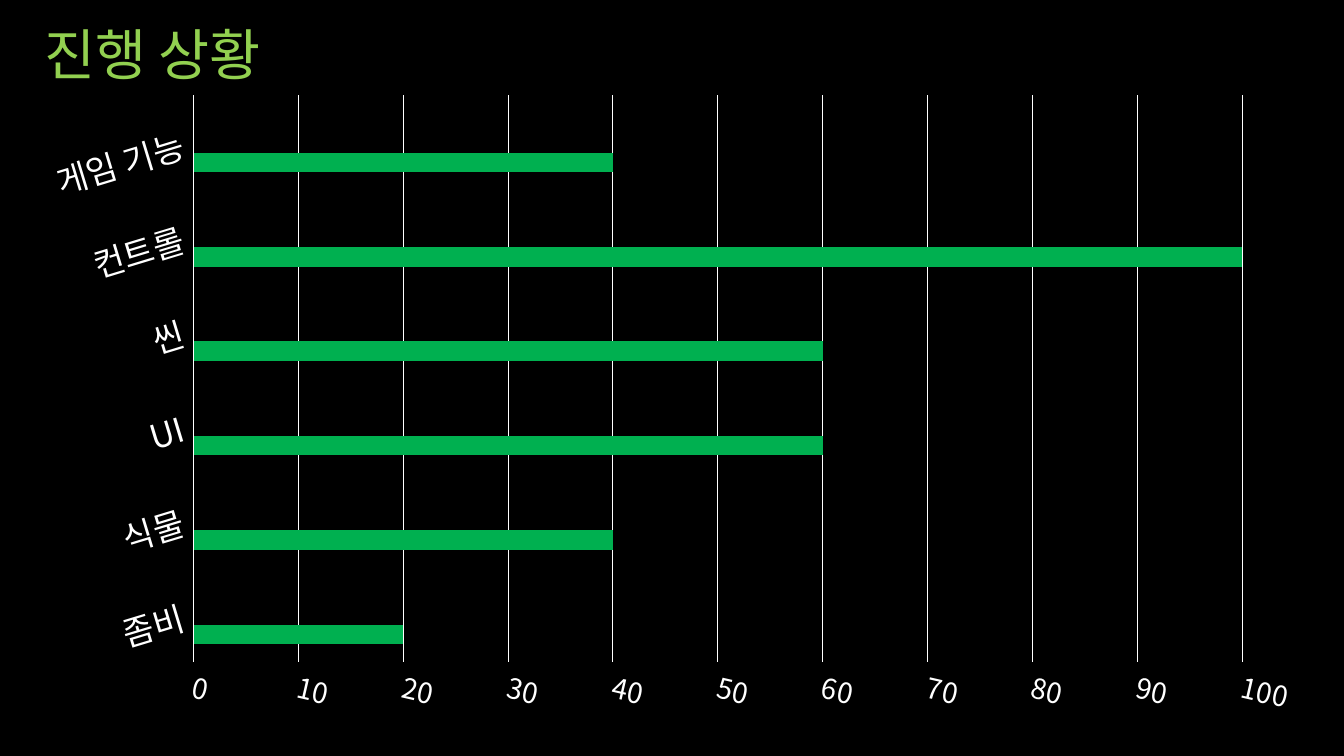
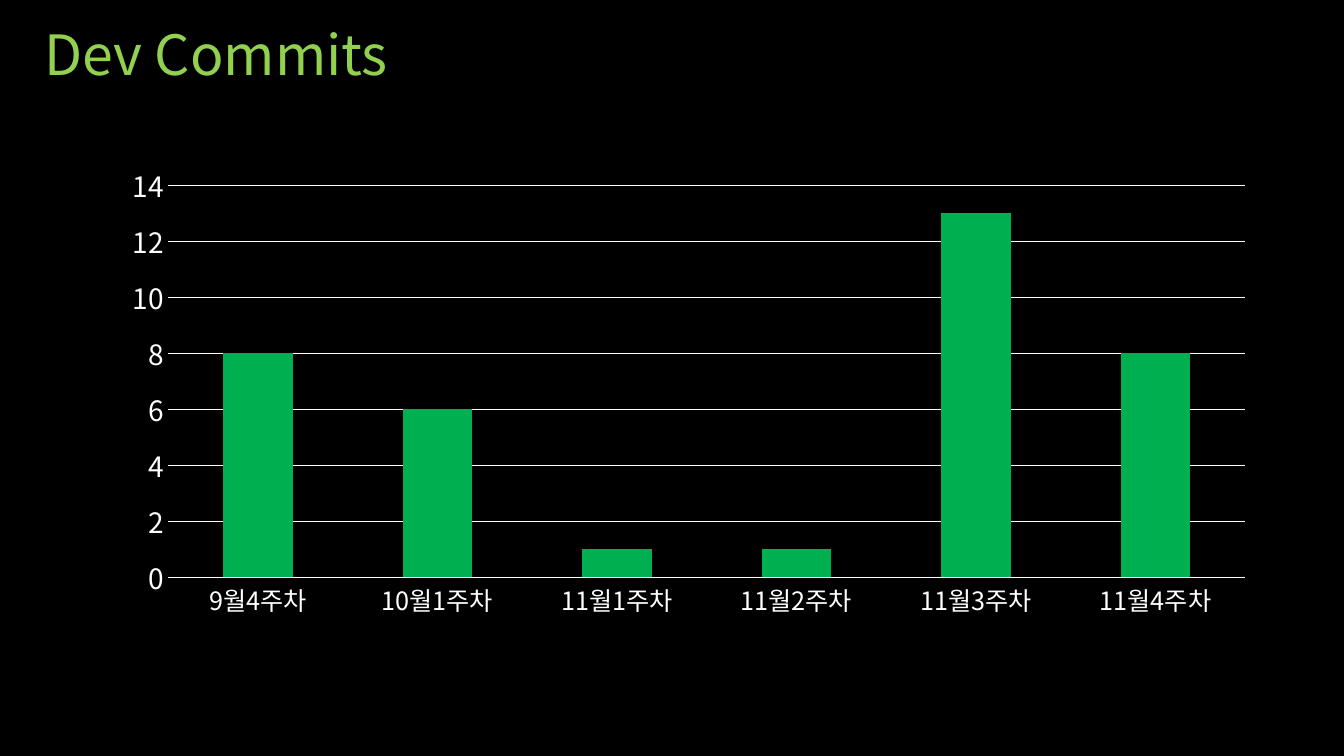
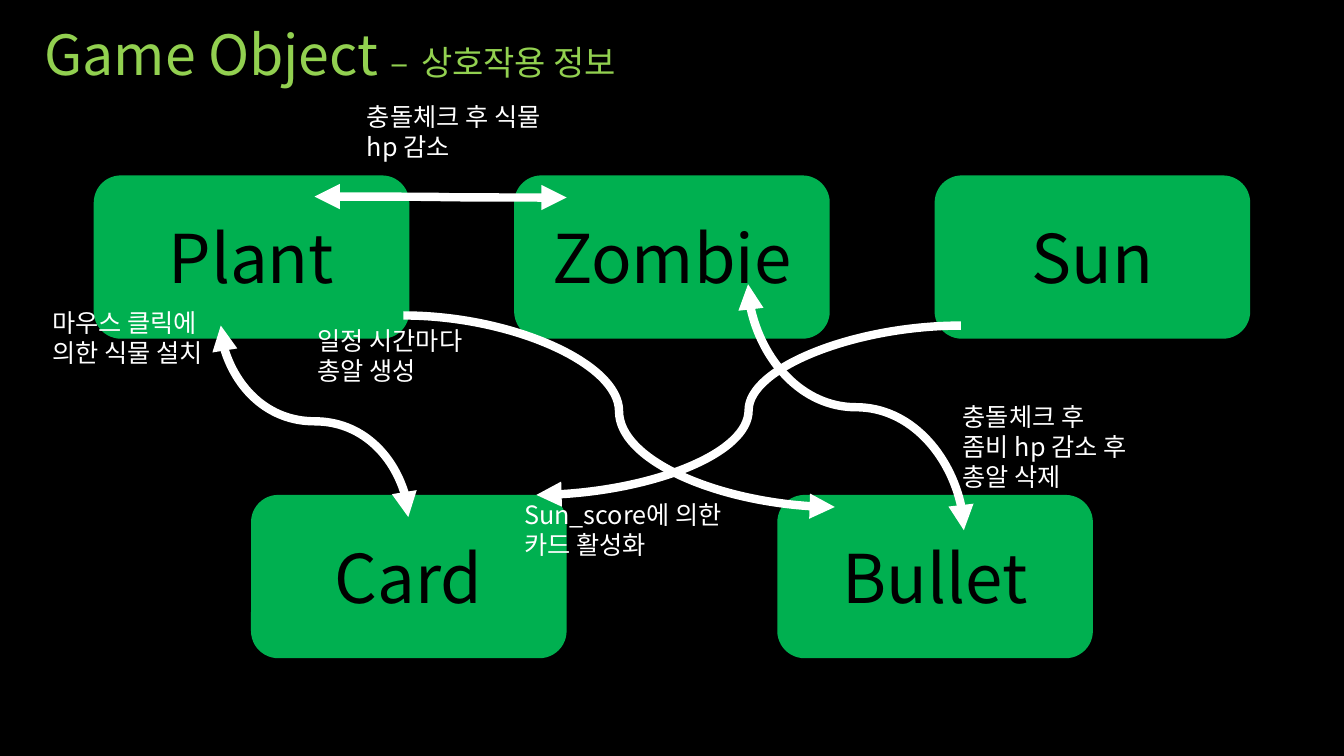
from lxml import etree
from pptx import Presentation
from pptx.chart.data import CategoryChartData
from pptx.dml.color import RGBColor
from pptx.enum.chart import XL_CHART_TYPE, XL_TICK_MARK
from pptx.enum.shapes import MSO_CONNECTOR, MSO_SHAPE
from pptx.enum.text import MSO_ANCHOR, MSO_AUTO_SIZE, PP_ALIGN
from pptx.oxml.ns import qn
from pptx.util import Pt

BAR = XL_CHART_TYPE.BAR_CLUSTERED
COLUMN = XL_CHART_TYPE.COLUMN_CLUSTERED
NO_TICK = XL_TICK_MARK.NONE
CURVE = MSO_CONNECTOR.CURVE
CARD = MSO_SHAPE.FLOWCHART_ALTERNATE_PROCESS
MIDDLE = MSO_ANCHOR.MIDDLE
LEFT, CENTER = PP_ALIGN.LEFT, PP_ALIGN.CENTER
NO_FIT, GROW = MSO_AUTO_SIZE.NONE, MSO_AUTO_SIZE.SHAPE_TO_FIT_TEXT

EMU_PER_PX = 9144
TITLE_ONLY = 5
FONT = "Noto Sans CJK KR"
CHART_FONT = "Calibri"
TITLE_SIZE, SUBTITLE_SIZE = 39.6, 24.3
COLORS = {
    "background": "000000",
    "title": "92D050",
    "text": "FFFFFF",
    "green": "00B050",
    "light_gray": "B2B2B2",
    "gray": "969696",
}
SERIES_COLORS = ("green", "light_gray", "gray")


def px(*lengths):
    return [length * EMU_PER_PX for length in lengths]


def color(name):
    return RGBColor.from_string(COLORS[name])


def style_font(font, size, color_name, name=FONT):
    font.name = name
    font.size = Pt(size)
    font.color.rgb = color(color_name)


def set_east_asian_font(root):
    for latin in root.iter(qn("a:latin")):
        east_asian = etree.Element(qn("a:ea"))
        east_asian.set("typeface", latin.get("typeface"))
        latin.addnext(east_asian)


def place(shape, left, top, width, height):
    shape.left, shape.top, shape.width, shape.height = px(left, top, width, height)


def add_slide(presentation, title_runs, title_width=599):
    slide = presentation.slides.add_slide(presentation.slide_layouts[TITLE_ONLY])
    title = slide.shapes.title
    place(title, 34, 40, title_width, 35)
    frame = title.text_frame
    frame.auto_size = NO_FIT
    frame.vertical_anchor = MIDDLE
    paragraph = frame.paragraphs[0]
    paragraph.alignment = LEFT
    paragraph.line_spacing = 0.9
    for text, size in title_runs:
        run = paragraph.add_run()
        run.text = text
        style_font(run.font, size, "title")
    return slide


def style_line(line, width):
    line.color.rgb = color("text")
    line.width = Pt(width)


def set_plot_layout(chart, fractions):
    plot_area = chart.element.xpath("//c:plotArea")[0]
    for old_layout in plot_area.findall(qn("c:layout")):
        plot_area.remove(old_layout)
    layout = etree.Element(qn("c:layout"))
    manual = etree.SubElement(layout, qn("c:manualLayout"))
    settings = [("layoutTarget", "inner"), ("xMode", "edge"), ("yMode", "edge")]
    settings += zip("xywh", fractions)
    for tag, value in settings:
        etree.SubElement(manual, qn(f"c:{tag}")).set("val", str(value))
    plot_area.insert(0, layout)


def rotate_labels(chart, axis_tag, degrees):
    body = chart.element.xpath(f"//c:{axis_tag}/c:txPr/a:bodyPr")[0]
    body.set("rot", str(degrees * 60000))
    body.set("vert", "horz")


def add_commit_chart(slide, kind, box, values, gap, overlap, layout,
                     category_size, maximum, unit):
    data = CategoryChartData()
    data.categories = list(values)
    empty = [None] * len(values)
    for number, points in enumerate((values.values(), empty, empty), 1):
        data.add_series(f"Series {number}", list(points))
    chart = slide.shapes.add_chart(kind, *px(*box), data).chart
    chart.has_legend = False
    chart.has_title = False
    style_font(chart.font, 10, "text", CHART_FONT)

    plot = chart.plots[0]
    plot.gap_width = gap
    plot.overlap = overlap
    plot.vary_by_categories = False
    for series, color_name in zip(plot.series, SERIES_COLORS):
        series.format.fill.solid()
        series.format.fill.fore_color.rgb = color(color_name)

    category_axis, value_axis = chart.category_axis, chart.value_axis
    for axis, size in ((category_axis, category_size), (value_axis, 20)):
        axis.major_tick_mark = axis.minor_tick_mark = NO_TICK
        style_font(axis.tick_labels.font, size, "text")
    category_axis.has_major_gridlines = False
    style_line(category_axis.format.line, 0.75)
    value_axis.minimum_scale = 0
    value_axis.maximum_scale = maximum
    value_axis.major_unit = unit
    value_axis.has_major_gridlines = True
    style_line(value_axis.major_gridlines.format.line, 0.75)
    value_axis.format.line.fill.background()
    set_plot_layout(chart, layout)
    set_east_asian_font(chart.element)
    return chart


def add_object_card(slide, text, left, top):
    card = slide.shapes.add_shape(CARD, *px(left, top, 313, 162))
    card.shadow.inherit = False
    card.fill.solid()
    card.fill.fore_color.rgb = color("green")
    card.line.fill.background()
    frame = card.text_frame
    frame.vertical_anchor = MIDDLE
    frame.text = text
    paragraph = frame.paragraphs[0]
    paragraph.alignment = CENTER
    style_font(paragraph.runs[0].font, 48, "background")


def add_note(slide, text, left, top, width=208, height=71):
    note = slide.shapes.add_textbox(*px(left, top, width, height))
    frame = note.text_frame
    frame.word_wrap = True
    frame.auto_size = GROW
    frame.text = text
    for paragraph in frame.paragraphs:
        paragraph.line_spacing = Pt(21.5)
        style_font(paragraph.runs[0].font, 18, "text")


def add_curve(slide, start, end, ends=("tailEnd",), vertical=False):
    (x1, y1), (x2, y2) = start, end
    if vertical:
        middle_x, middle_y = (x1 + x2) // 2, (y1 + y2) // 2
        half_width, half_height = (y2 - y1) // 2, (x2 - x1) // 2
        x1, x2 = middle_x + half_width, middle_x - half_width
        y1, y2 = middle_y - half_height, middle_y + half_height
    connector = slide.shapes.add_connector(CURVE, *px(x1, y1, x2, y2))
    style_line(connector.line, 6)
    properties = connector.element.spPr
    if vertical:
        properties.find(qn("a:xfrm")).set("rot", str(270 * 60000))
    line = properties.find(qn("a:ln"))
    for tag in ends:
        etree.SubElement(line, qn(f"a:{tag}")).set("type", "triangle")
    etree.SubElement(properties, qn("a:effectLst"))


def build_progress(presentation):
    slide = add_slide(presentation, [("진행 상황", TITLE_SIZE)])
    progress = {"좀비": 20, "식물": 40, "UI": 60, "씬": 60, "컨트롤": 100, "게임 기능": 40}
    chart = add_commit_chart(slide, BAR, (25, 82, 1284, 639), progress, 182, 0,
                             (0.13, 0.02, 0.81, 0.88), 24, 100, 10)
    rotate_labels(chart, "catAx", -17)
    rotate_labels(chart, "valAx", 13)
    return slide


def build_commits(presentation):
    slide = add_slide(presentation, [("Dev Commits", TITLE_SIZE)])
    commits = {"9월4주차": 8, "10월1주차": 6, "11월1주차": 1,
               "11월2주차": 1, "11월3주차": 13, "11월4주차": 8}
    add_commit_chart(slide, COLUMN, (92, 160, 1150, 476), commits, 159, 100,
                     (0.065, 0.05, 0.929, 0.817), 18, 14, 2)
    return slide


def build_game_objects(presentation):
    slide = add_slide(presentation, [
        ("Game Object ", TITLE_SIZE), ("–", SUBTITLE_SIZE),
        (" ", TITLE_SIZE), ("상호작용 정보", SUBTITLE_SIZE),
    ], 1070)
    rows = [(93, 174, 417, ("Plant", "Zombie", "Sun")),
            (249, 491, 522, ("Card", "Bullet"))]
    for left, top, pitch, names in rows:
        for column, name in enumerate(names):
            add_object_card(slide, name, left + column * pitch, top)

    both = ("headEnd", "tailEnd")
    add_curve(slide, (953, 323), (532, 491))
    add_curve(slide, (219, 323), (406, 513), both, vertical=True)
    add_curve(slide, (312, 195), (562, 196), both)
    add_curve(slide, (742, 282), (957, 527), both, vertical=True)
    add_curve(slide, (400, 313), (828, 503))

    add_note(slide, "마우스 클릭에 의한 식물 설치", 42, 300)
    add_note(slide, "Sun_score에 의한 카드 활성화", 510, 491, width=255)
    add_note(slide, "충돌체크 후 식물 hp 감소", 354, 96)
    add_note(slide, "충돌체크 후\n좀비 hp 감소 후\n총알 삭제", 945, 393, height=101)
    add_note(slide, "일정 시간마다\n총알 생성", 305, 318)
    return slide


def main():
    presentation = Presentation()
    presentation.slide_width, presentation.slide_height = px(1333, 750)
    background = presentation.slide_master.background.fill
    background.solid()
    background.fore_color.rgb = color("background")
    for build in (build_progress, build_commits, build_game_objects):
        set_east_asian_font(build(presentation).element)
    presentation.save("out.pptx")


if __name__ == "__main__":
    main()
